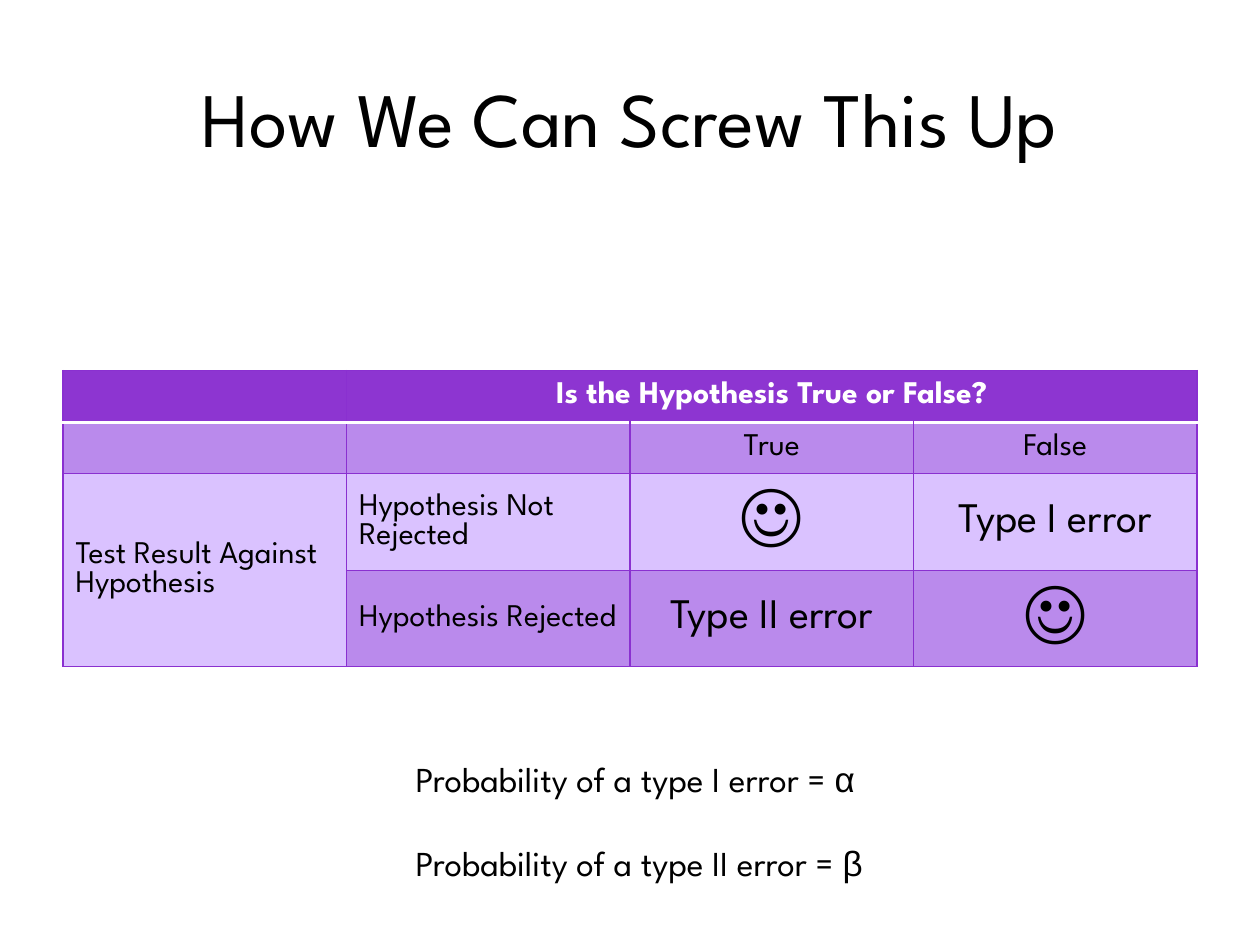
"""Build a slide on type I and type II errors in hypothesis testing."""
from dataclasses import dataclass

from lxml import etree
from pptx import Presentation
from pptx.dml.color import RGBColor
from pptx.enum.text import MSO_ANCHOR, MSO_AUTO_SIZE, PP_ALIGN
from pptx.oxml.ns import qn
from pptx.util import Pt

LEFT, CENTER = PP_ALIGN.LEFT, PP_ALIGN.CENTER
TOP, MIDDLE = MSO_ANCHOR.TOP, MSO_ANCHOR.MIDDLE
FIT_SHAPE = MSO_AUTO_SIZE.SHAPE_TO_FIT_TEXT


@dataclass(frozen=True)
class Theme:
    """Hold the colours, fonts and type sizes of the slide."""
    ink: str = "000000"
    white: str = "FFFFFF"
    header: str = "8D35D1"
    dark_band: str = "BA8AEC"
    light_band: str = "DAC2FF"
    border: str = "8A30D0"
    font: str = "League Spartan"
    greek_font: str = "Arial"
    title: int = 44
    smiley: int = 40
    error: int = 24
    note: int = 20
    label: int = 18


THEME = Theme()


def add_run(paragraph, wording, size, color=THEME.ink, font=THEME.font, bold=False):
    """Append one formatted run to a paragraph."""
    run = paragraph.add_run()
    run.text = wording
    run.font.size = Pt(size)
    run.font.name = font
    run.font.bold = bold
    run.font.color.rgb = RGBColor.from_string(color)


def add_text_frame(slide, left, top, width, height, anchor, wrap):
    """Add a text box and return its text frame."""
    frame = slide.shapes.add_textbox(Pt(left), Pt(top), Pt(width), Pt(height)).text_frame
    frame.word_wrap = wrap
    frame.vertical_anchor = anchor
    return frame


def add_title(slide):
    """Add the centred slide title."""
    frame = add_text_frame(slide, 36, 21.6, 648, 90, MIDDLE, True)
    heading = frame.paragraphs[0]
    heading.alignment = CENTER
    add_run(heading, "How We Can Screw This Up", THEME.title)


def set_borders(cell, top=(THEME.border, 0.75), bottom=(THEME.border, 0.75)):
    """Draw the four borders of a cell."""
    side = (THEME.border, 0.75)
    properties = cell._tc.get_or_add_tcPr()
    edges = {"a:lnL": side, "a:lnR": side, "a:lnT": top, "a:lnB": bottom}
    for tag, (color, width) in edges.items():
        line = etree.SubElement(properties, qn(tag), w=str(Pt(width)))
        fill = etree.SubElement(line, qn("a:solidFill"))
        etree.SubElement(fill, qn("a:srgbClr"), val=color)


def style_cell(cell, fill, **borders):
    """Give a cell its borders, fill and vertical anchor."""
    set_borders(cell, **borders)
    cell.fill.solid()
    cell.fill.fore_color.rgb = RGBColor.from_string(fill)
    cell.vertical_anchor = MIDDLE


def write_cell(cell, wording, size=THEME.label, align=CENTER, color=THEME.ink, bold=False):
    """Write one run of text in a cell."""
    paragraph = cell.text_frame.paragraphs[0]
    paragraph.alignment = align
    add_run(paragraph, wording, size, color, bold=bold)


def add_outcome_table(slide):
    """Add the table that crosses the test result with the truth."""
    row_heights = (29.5, 29.5, 44, 44)
    table = slide.shapes.add_table(
        4, 4, Pt(36), Pt(211.7), Pt(648), Pt(sum(row_heights))).table
    table.first_row = table.horz_banding = False
    for column in table.columns:
        column.width = Pt(162)
    for row, height in zip(table.rows, row_heights):
        row.height = Pt(height)

    divider = (THEME.white, 2)
    row_styles = (
        (THEME.header, {"bottom": divider}),
        (THEME.dark_band, {"top": divider}),
        (THEME.light_band, {}),
        (THEME.dark_band, {}),
    )
    for row, (fill, borders) in enumerate(row_styles):
        for column in range(4):
            style_cell(table.cell(row, column), fill, **borders)
    table.cell(0, 1).merge(table.cell(0, 3))
    table.cell(2, 0).merge(table.cell(3, 0))

    write_cell(table.cell(0, 1), "Is the Hypothesis True or False?",
               color=THEME.white, bold=True)
    write_cell(table.cell(1, 2), "True")
    write_cell(table.cell(1, 3), "False")
    write_cell(table.cell(2, 0), "Test Result Against Hypothesis", align=LEFT)
    write_cell(table.cell(2, 1), "Hypothesis Not Rejected", align=LEFT)
    write_cell(table.cell(3, 1), "Hypothesis Rejected", align=LEFT)
    write_cell(table.cell(2, 3), "Type I error", THEME.error)
    write_cell(table.cell(3, 2), "Type II error", THEME.error)
    for row, column in ((2, 2), (3, 3)):
        write_cell(table.cell(row, column), "☺", THEME.smiley)


def add_probabilities(slide):
    """Add the two lines that name the error probabilities."""
    frame = add_text_frame(slide, 230.4, 429.1, 308.2, 104.4, TOP, False)
    frame.auto_size = FIT_SHAPE
    first = frame.paragraphs[0]
    second = frame.add_paragraph()
    second.space_before = Pt(24)
    for paragraph, kind, symbol in ((first, "I", "α"), (second, "II", "β")):
        paragraph.alignment = LEFT
        add_run(paragraph, f"Probability of a type {kind} error = ", THEME.note)
        add_run(paragraph, symbol, THEME.note, font=THEME.greek_font)


def main():
    """Build and save the slide."""
    deck = Presentation()
    deck.slide_width, deck.slide_height = Pt(720), Pt(540)
    slide = deck.slides.add_slide(deck.slide_layouts[6])
    add_title(slide)
    add_outcome_table(slide)
    add_probabilities(slide)
    deck.save("out.pptx")


if __name__ == "__main__":
    main()
